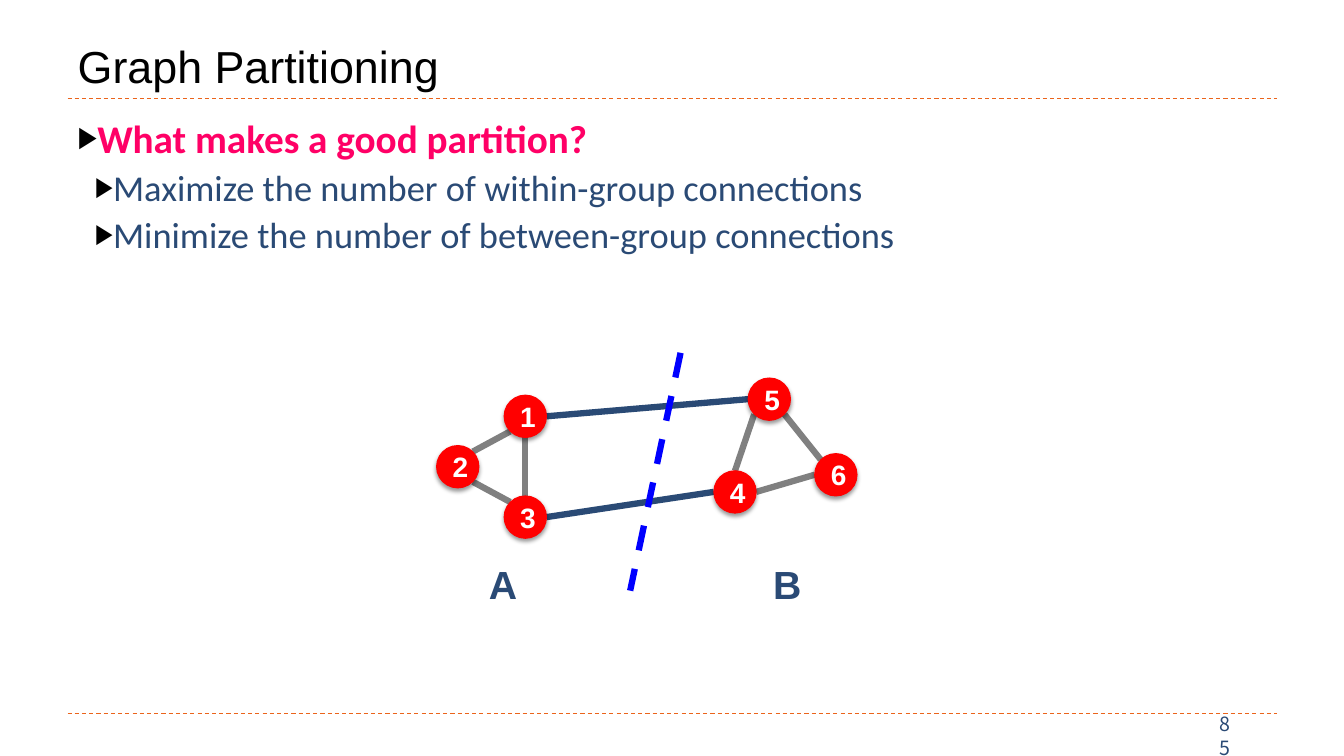
from lxml import etree
from pptx import Presentation
from pptx import util as u
from pptx.dml.color import RGBColor
from pptx.enum import dml, shapes, text
from pptx.oxml.ns import qn

PX = 9144  # 100 px to the inch
THEME = {
    "navy": "2A4A75", "pink": "FF0066", "red": "FF0000", "blue": "0000FF",
    "gray": "808080", "orange": "EB641B", "black": "000000", "white": "FFFFFF",
    "title": 32, "question": 28, "goal": 26, "group": 28, "node": 20, "page": 14,
    "rule": 0.75, "edge": 4.5,
    "head_font": "Arial", "body_font": "Calibri", "page_font": "Noto Sans CJK SC",
}


def write(paragraph, words, size, color, font, bold=False):
    paragraph.text = words
    style = {"size": u.Pt(THEME[size]), "name": THEME[font], "bold": bold}
    for key, value in style.items():
        setattr(paragraph.runs[0].font, key, value)
    paragraph.runs[0].font.color.rgb = RGBColor.from_string(THEME[color])


def draw_line(start, end, color, width, dashed=False):
    line = slide.shapes.add_connector(
        shapes.MSO_CONNECTOR.STRAIGHT, *(v * PX for v in (*start, *end)))
    line.line.color.rgb = RGBColor.from_string(THEME[color])
    line.line.width = u.Pt(THEME[width])
    if dashed:
        line.line.dash_style = dml.MSO_LINE.DASH
    etree.SubElement(line._element.spPr, qn("a:effectLst"))


deck = Presentation()
deck.slide_width, deck.slide_height = 1333 * PX, 750 * PX
slide = deck.slides.add_slide(deck.slide_layouts[1])
title, body = slide.placeholders

# Title and body areas
for area, top, height, anchor in (
    (title, 17, 80, text.MSO_ANCHOR.BOTTOM),
    (body, 108, 592, text.MSO_ANCHOR.TOP),
):
    place = {"left": 67, "top": top, "width": 1200, "height": height}
    for key, value in place.items():
        setattr(area, key, value * PX)
    area.text_frame.vertical_anchor = anchor
    area.text_frame.auto_size = text.MSO_AUTO_SIZE.NONE

heading = title.text_frame.paragraphs[0]
heading.alignment = text.PP_ALIGN.LEFT
write(heading, "Graph Partitioning", "title", "black", "head_font")

# Question and its two goals
points = (
    ("What makes a good partition?", 0, "question", "pink", True, 0),
    ("Maximize the number of within-group connections", 1, "goal", "navy", False, 2.8),
    ("Minimize the number of between-group connections", 1, "goal", "navy", False, 2.8),
)
for index, (words, level, size, color, bold, gap) in enumerate(points):
    frame = body.text_frame
    point = frame.add_paragraph() if index else frame.paragraphs[0]
    point.level = level
    point.space_before = u.Pt(gap)
    props = point._p.get_or_add_pPr()
    props.set("marL", str(17 * (level + 1) * PX))
    props.set("indent", str(-17 * PX))
    bullet_color = etree.SubElement(props, qn("a:buClr"))
    etree.SubElement(bullet_color, qn("a:srgbClr"), val=THEME["black"])
    etree.SubElement(props, qn("a:buSzPct"), val="76000")
    etree.SubElement(props, qn("a:buFont"), typeface=THEME["head_font"])
    etree.SubElement(props, qn("a:buChar"), char="▶")
    write(point, words, size, color, "body_font", bold)

# Header and footer rules
for y in (98, 708):
    draw_line((67, y), (1267, y), "orange", "rule", dashed=True)

# Graph edges, each running from a point on one node's rim to another's
RADIUS, DIAGONAL = 21, 15
RIM = {
    "top": (0, -RADIUS), "left": (-RADIUS, 0),
    "bottom": (0, RADIUS), "right": (RADIUS, 0),
    "top left": (-DIAGONAL, -DIAGONAL), "top right": (DIAGONAL, -DIAGONAL),
    "bottom left": (-DIAGONAL, DIAGONAL), "bottom right": (DIAGONAL, DIAGONAL),
}
centers = {1: (521, 413), 2: (454, 463), 3: (521, 513),
           4: (729, 488), 5: (763, 396), 6: (829, 471)}
edges = (
    (1, "bottom left", 2, "top right", "gray"),
    (2, "bottom right", 3, "top left", "gray"),
    (1, "bottom", 3, "top", "gray"),
    (1, "right", 5, "left", "navy"),
    (3, "right", 4, "left", "navy"),
    (5, "bottom right", 6, "top left", "gray"),
    (4, "right", 6, "left", "gray"),
    (5, "bottom left", 4, "top", "gray"),
)
for source, leave, target, arrive, color in edges:
    start, end = (
        [c + d for c, d in zip(centers[number], RIM[side])]
        for number, side in ((source, leave), (target, arrive)))
    draw_line(start, end, color, "edge")

# Graph nodes with a soft shadow
for number, (x, y) in centers.items():
    node = slide.shapes.add_shape(
        shapes.MSO_SHAPE.OVAL, (x - RADIUS) * PX, (y - RADIUS) * PX,
        2 * RADIUS * PX, 2 * RADIUS * PX)
    node.fill.solid()
    node.fill.fore_color.rgb = RGBColor.from_string(THEME["red"])
    node.line.color.rgb = RGBColor.from_string(THEME["red"])
    node.line.width = u.Pt(THEME["rule"])
    node.shadow.inherit = False
    effects = node._element.spPr.find(qn("a:effectLst"))
    shadow = etree.SubElement(
        effects, qn("a:outerShdw"), blurRad=str(u.Pt(3)), dist=str(u.Pt(2)),
        dir="5400000", rotWithShape="0")
    shade = etree.SubElement(shadow, qn("a:srgbClr"), val=THEME["black"])
    etree.SubElement(shade, qn("a:alpha"), val="40000")
    node.text_frame.vertical_anchor = text.MSO_ANCHOR.MIDDLE
    label = node.text_frame.paragraphs[0]
    label.alignment = text.PP_ALIGN.CENTER
    write(label, str(number), "node", "white", "head_font", True)

# Cut between the groups
draw_line((675, 350), (625, 586), "blue", "edge", dashed=True)

# Group names and page number
captions = (
    ("A", 475, 551, 49, 57, "group", "head_font", True, text.MSO_ANCHOR.TOP),
    ("B", 757, 551, 49, 57, "group", "head_font", True, text.MSO_ANCHOR.TOP),
    ("85", 1200, 713, 41, 34, "page", "page_font", False, text.MSO_ANCHOR.MIDDLE),
)
for words, left, top, width, height, size, font, bold, anchor in captions:
    caption = slide.shapes.add_textbox(left * PX, top * PX, width * PX, height * PX)
    caption.text_frame.word_wrap = True
    caption.text_frame.vertical_anchor = anchor
    write(caption.text_frame.paragraphs[0], words, size, "navy", font, bold)

deck.save("out.pptx")
